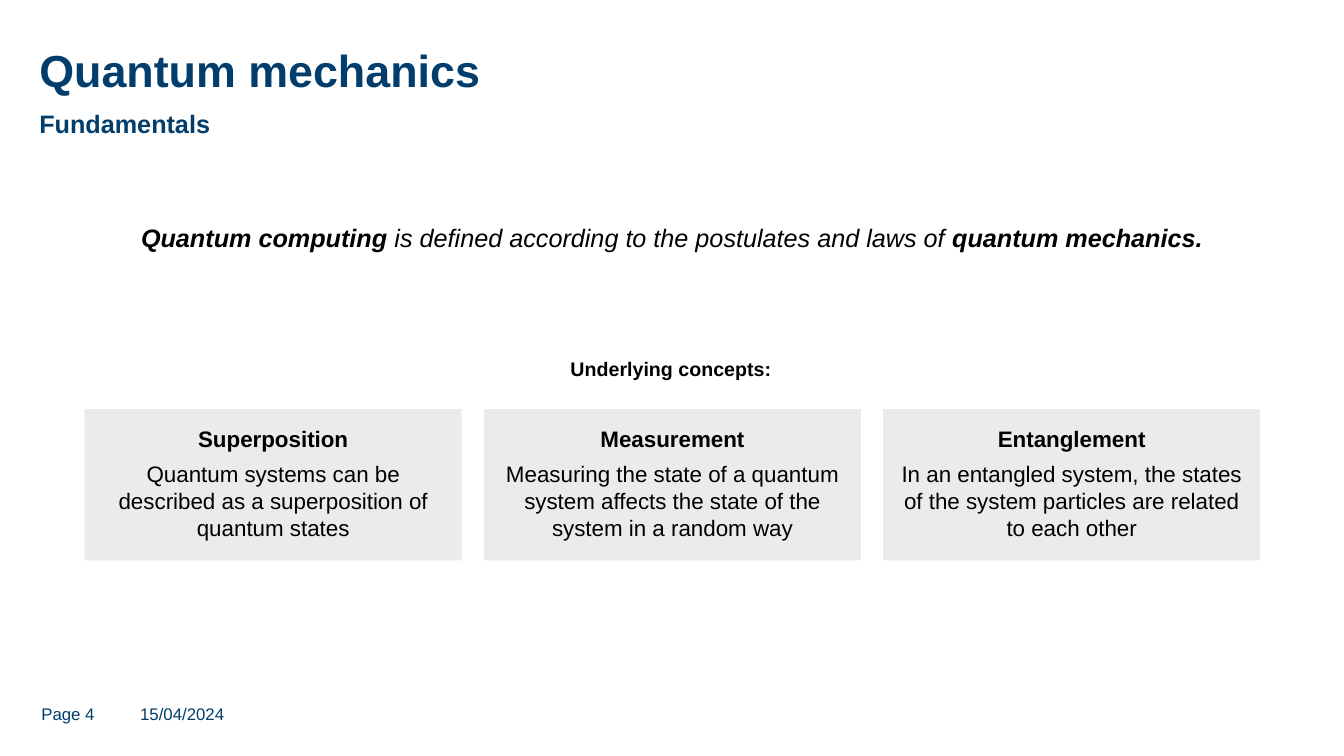
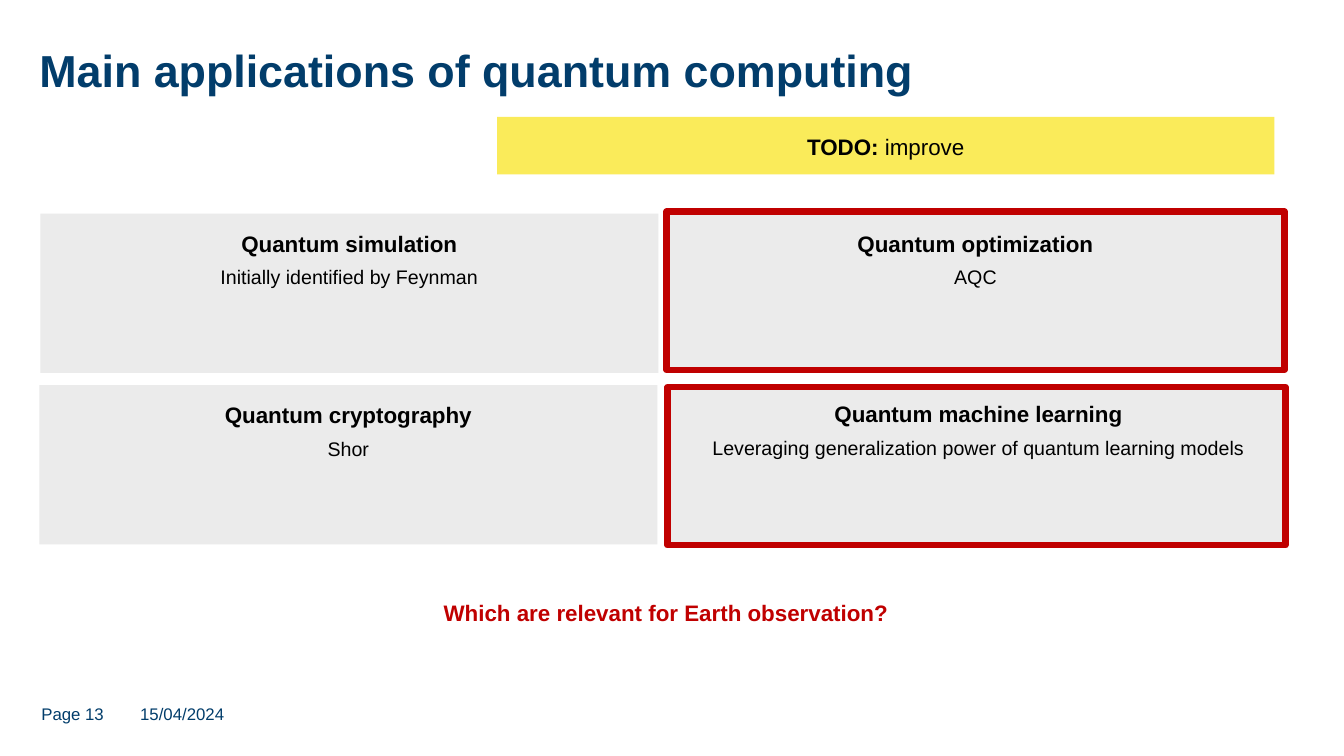
from dataclasses import dataclass

from pptx import Presentation
from pptx.dml.color import RGBColor
from pptx.enum.shapes import MSO_SHAPE
from pptx.enum.text import MSO_ANCHOR, MSO_AUTO_SIZE, PP_ALIGN
from pptx.util import Emu, Pt

SCALE = 9144  # EMU in one px, at 100 px to the inch
FONT = "Arial"
PAD = 16
COLORS = {
    "navy": "023D6B",
    "black": "000000",
    "grey": "EBEBEB",
    "red": "C00000",
    "yellow": "FAEB5A",
    "white": "FFFFFF",
}


@dataclass(frozen=True)
class Box:
    left: int
    top: int
    width: int
    height: int


@dataclass(frozen=True)
class Run:
    text: str
    bold: bool = False


@dataclass(frozen=True)
class Card:
    box: Box
    head: str
    body: str


def px(count: int) -> Emu:
    return Emu(count * SCALE)


def tint(name: str) -> RGBColor:
    return RGBColor.from_string(COLORS[name])


def area(box: Box) -> tuple:
    return px(box.left), px(box.top), px(box.width), px(box.height)


def write(frame, *runs: Run, size: int, color: str = "black", italic: bool = False,
          align=PP_ALIGN.CENTER, line: float = 1.0, after: int = 0,
          pad: tuple = (0, 0), more: bool = False) -> None:
    """Fill a text frame with one paragraph, or append one when more is set."""
    frame.word_wrap = True
    frame.auto_size = MSO_AUTO_SIZE.NONE
    frame.vertical_anchor = MSO_ANCHOR.TOP
    frame.margin_left = frame.margin_right = px(pad[0])
    frame.margin_top = frame.margin_bottom = px(pad[1])
    para = frame.add_paragraph() if more else frame.paragraphs[0]
    para.alignment = align
    para.line_spacing = line
    para.space_before, para.space_after = Pt(0), Pt(after)
    for item in runs:
        run = para.add_run()
        run.text = item.text
        font = run.font
        font.name, font.size = FONT, Pt(size)
        font.bold, font.italic = item.bold, italic
        font.color.rgb = tint(color)


def label(slide, box: Box, *runs: Run, **style) -> None:
    write(slide.shapes.add_textbox(*area(box)).text_frame, *runs, **style)


def panel(slide, box: Box, fill: str = "", edge: str = ""):
    shape = slide.shapes.add_shape(MSO_SHAPE.RECTANGLE, *area(box))
    shape.shadow.inherit = False
    if fill:
        shape.fill.solid()
        shape.fill.fore_color.rgb = tint(fill)
    else:
        shape.fill.background()
    if edge:
        shape.line.color.rgb = tint(edge)
        shape.line.width = Pt(4.5)
    else:
        shape.line.fill.background()
    return shape


def draw(slide, card: Card, size: int) -> None:
    frame = panel(slide, card.box, fill="grey").text_frame
    style = dict(after=6, pad=(PAD, PAD))
    write(frame, Run(card.head, True), size=16, **style)
    write(frame, Run(card.body), size=size, more=True, **style)


def start(deck, title: str, page: int):
    """Add a slide with the shared title and footer."""
    slide = deck.slides.add_slide(deck.slide_layouts[5])
    slide.background.fill.solid()
    slide.background.fill.fore_color.rgb = tint("white")
    head = slide.shapes.title
    head.left, head.top, head.width, head.height = area(Box(39, 35, 1252, 123))
    style = dict(color="navy", align=PP_ALIGN.LEFT)
    write(head.text_frame, Run(title, True), size=32, line=1.14, **style)
    label(slide, Box(41, 698, 79, 24), Run(f"Page {page}"), size=12, **style)
    label(slide, Box(139, 698, 175, 24), Run("15/04/2024"), size=12, **style)
    return slide


def basics(deck) -> None:
    slide = start(deck, "Quantum mechanics", 4)
    label(slide, Box(39, 103, 1252, 56), Run("Fundamentals", True), size=18,
          color="navy", align=PP_ALIGN.LEFT, line=1.14)

    # Definition and lead-in
    label(slide, Box(123, 216, 1087, 40), Run("Quantum computing ", True),
          Run("is defined according to the postulates and laws of "),
          Run("quantum mechanics.", True), size=18, italic=True, pad=(10, 5))
    label(slide, Box(122, 349, 1087, 34), Run("Underlying concepts:", True),
          size=14, pad=(10, 5))

    # Row of concepts
    width, gap = 374, 22
    ideas = [
        ("Superposition",
         "Quantum systems can be described as a superposition of quantum states"),
        ("Measurement",
         "Measuring the state of a quantum system affects the state of the system "
         "in a random way"),
        ("Entanglement",
         "In an entangled system, the states of the system particles are related "
         "to each other"),
    ]
    for col, (head, body) in enumerate(ideas):
        box = Box(84 + col * (width + gap), 406, width, 150)
        draw(slide, Card(box, head, body), 16)


def uses(deck) -> None:
    slide = start(deck, "Main applications of quantum computing", 13)

    # Application cards
    width, height = 613, 158
    cards = [
        Card(Box(40, 212, width, height), "Quantum simulation",
             "Initially identified by Feynman"),
        Card(Box(39, 382, width, height), "Quantum cryptography", "Shor"),
        Card(Box(661, 212, width, height), "Quantum optimization", "AQC"),
        Card(Box(664, 381, width, height), "Quantum machine learning",
             "Leveraging generalization power of quantum learning models"),
    ]
    for card in cards:
        draw(slide, card, 14)

    # Red frames around the relevant ones
    for left, top in ((661, 210), (662, 384)):
        panel(slide, Box(left, top, width, 157), edge="red")

    # Reminder and closing question
    style = dict(size=16, after=6, pad=(PAD, PAD))
    note = panel(slide, Box(493, 116, 771, 57), fill="yellow")
    write(note.text_frame, Run("TODO: ", True), Run("improve"), **style)
    label(slide, Box(354, 578, width, 57),
          Run("Which are relevant for Earth observation?", True), color="red", **style)


def main() -> None:
    deck = Presentation()
    deck.slide_width, deck.slide_height = px(1333), px(750)
    basics(deck)
    uses(deck)
    deck.save("out.pptx")


if __name__ == "__main__":
    main()
